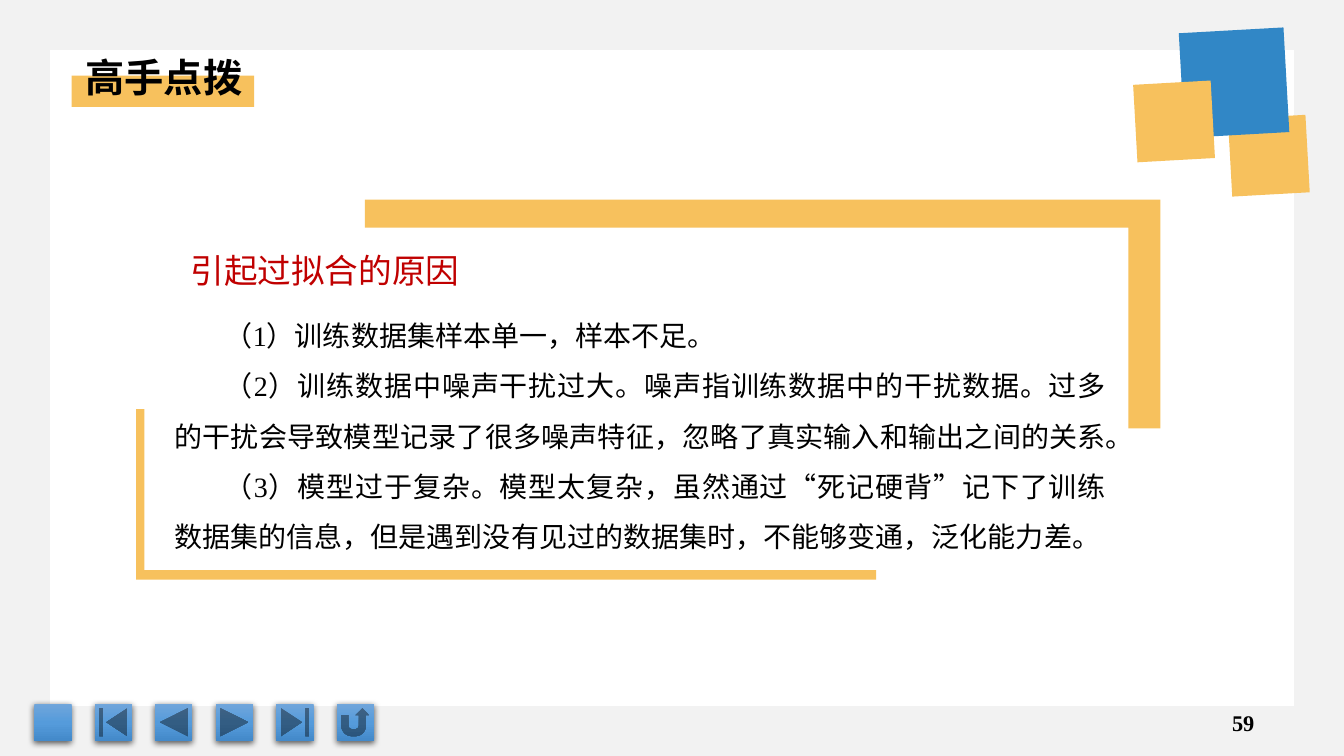
from copy import deepcopy

from lxml.etree import SubElement
from pptx import Presentation
from pptx.dml.color import RGBColor
from pptx.enum.shapes import MSO_SHAPE
from pptx.enum.text import MSO_ANCHOR, MSO_AUTO_SIZE, PP_ALIGN
from pptx.oxml.ns import qn
from pptx.util import Inches, Pt

YELLOW = RGBColor(0xF7, 0xC1, 0x5D)
BLUE = RGBColor(0x31, 0x87, 0xC6)
GREY = RGBColor(0xF2, 0xF2, 0xF2)
RED = RGBColor(0xC0, 0x00, 0x00)
BLACK = RGBColor(0x00, 0x00, 0x00)
BUTTON_STOPS = [RGBColor(0x71, 0xA6, 0xDB), RGBColor(0x55, 0x9B, 0xDB),
                RGBColor(0x44, 0x8A, 0xCA)]
FONT = "Times New Roman"

prs = Presentation()
prs.slide_width, prs.slide_height = Inches(13.33), Inches(7.5)
s = prs.slides.add_slide(prs.slide_layouts[1])


def add_block(kind, box, color, rotation=0, adjustments=()):
    sp = s.shapes.add_shape(kind, *[Inches(v) for v in box])
    sp.shadow.inherit = False
    sp.fill.solid()
    sp.fill.fore_color.rgb = color
    sp.line.fill.background()
    sp.rotation = rotation
    for i, value in enumerate(adjustments):
        sp.adjustments[i] = value
    return sp


def write(sp, box, text, size, color=BLACK, bold=False, align=PP_ALIGN.LEFT,
          anchor=MSO_ANCHOR.TOP, wrap=True):
    sp.left, sp.top, sp.width, sp.height = [Inches(v) for v in box]
    tf = sp.text_frame
    tf.text = text
    tf.word_wrap = wrap
    tf.auto_size = MSO_AUTO_SIZE.NONE
    tf.vertical_anchor = anchor
    for p in tf.paragraphs:
        p.alignment = align
        p.space_before = Pt(0)
        for r in p.runs:
            r.font.name, r.font.size, r.font.bold = FONT, Pt(size), bold
            r.font.color.rgb = color
    return tf


# Grey border around the slide
add_block(MSO_SHAPE.FRAME, (0, 0, 13.33, 7.5), GREY, adjustments=[0.066])

# Navigation buttons
buttons = [
    MSO_SHAPE.ACTION_BUTTON_CUSTOM,
    MSO_SHAPE.ACTION_BUTTON_BEGINNING,
    MSO_SHAPE.ACTION_BUTTON_BACK_OR_PREVIOUS,
    MSO_SHAPE.ACTION_BUTTON_FORWARD_OR_NEXT,
    MSO_SHAPE.ACTION_BUTTON_END,
    MSO_SHAPE.ACTION_BUTTON_RETURN,
]
for col, kind in enumerate(buttons):
    sp = add_block(kind, (0.34 + 0.6 * col, 6.98, 0.37, 0.37), BLUE)
    sp.fill.gradient()
    sp.fill.gradient_angle = 270
    spPr = sp._element.spPr
    stops = spPr.find(qn("a:gradFill")).find(qn("a:gsLst"))
    stops.append(deepcopy(stops[0]))
    for i, stop in enumerate(sp.fill.gradient_stops):
        stop.position = i / 2
        stop.color.rgb = BUTTON_STOPS[i]
    shadow = SubElement(spPr.find(qn("a:effectLst")), qn("a:outerShdw"),
                        blurRad=str(Pt(4.5)), dist=str(Pt(1.5)),
                        dir="5400000", algn="ctr", rotWithShape="0")
    shade = SubElement(shadow, qn("a:srgbClr"), val="000000")
    SubElement(shade, qn("a:alpha"), val="63000")

# Page number
write(s.shapes.add_textbox(0, 0, 0, 0), (9.54, 6.97, 3, 0.4), "59", 16,
      bold=True, align=PP_ALIGN.RIGHT, anchor=MSO_ANCHOR.MIDDLE)

# Title over its yellow bar
add_block(MSO_SHAPE.RECTANGLE, (0.71, 0.75, 1.81, 0.31), YELLOW)
title = s.shapes.title
write(title, (0.75, 0.48, 1.77, 0.57), "高手点拨", 28, bold=True, wrap=False)

# Tilted squares in the corner
for left, top, side, color in [(12.2, 1.16, 0.77, YELLOW),
                               (11.72, 0.3, 1.04, BLUE),
                               (11.26, 0.82, 0.77, YELLOW)]:
    add_block(MSO_SHAPE.RECTANGLE, (left, top, side, side), color, 356.8)

# Brackets around the text
add_block(MSO_SHAPE.CORNER, (1.35, 4.06, 7.34, 1.69), YELLOW,
          adjustments=[0.055, 0.048])
add_block(MSO_SHAPE.CORNER, (3.62, 1.98, 7.89, 2.27), YELLOW, 180,
          [0.122, 0.141])

# Heading and list of causes
write(s.shapes.add_textbox(0, 0, 0, 0), (1.79, 2.43, 2.89, 0.5),
      "引起过拟合的原因", 24, RED, wrap=False)
causes = [
    "（1）训练数据集样本单一，样本不足。",
    "（2）训练数据中噪声干扰过大。噪声指训练数据中的干扰数据。"
    "过多的干扰会导致模型记录了很多噪声特征，忽略了真实输入和输出之间的关系。",
    "（3）模型过于复杂。模型太复杂，虽然通过“死记硬背”记下了训练数据集的信息，"
    "但是遇到没有见过的数据集时，不能够变通，泛化能力差。",
]
body = s.placeholders[1]
tf = write(body, (1.63, 2.94, 9.44, 2.63), "\n".join(causes), 20,
           align=PP_ALIGN.JUSTIFY)
for p in tf.paragraphs:
    p.line_spacing = 1.5
    pPr = p._p.get_or_add_pPr()
    pPr.set("marL", "0")
    pPr.set("indent", str(Inches(0.5)))
    SubElement(pPr, qn("a:buNone"))

# Bring the placeholders in front of the blocks
for sp in (title, body):
    s.shapes._spTree.append(sp._element)

prs.save("out.pptx")
